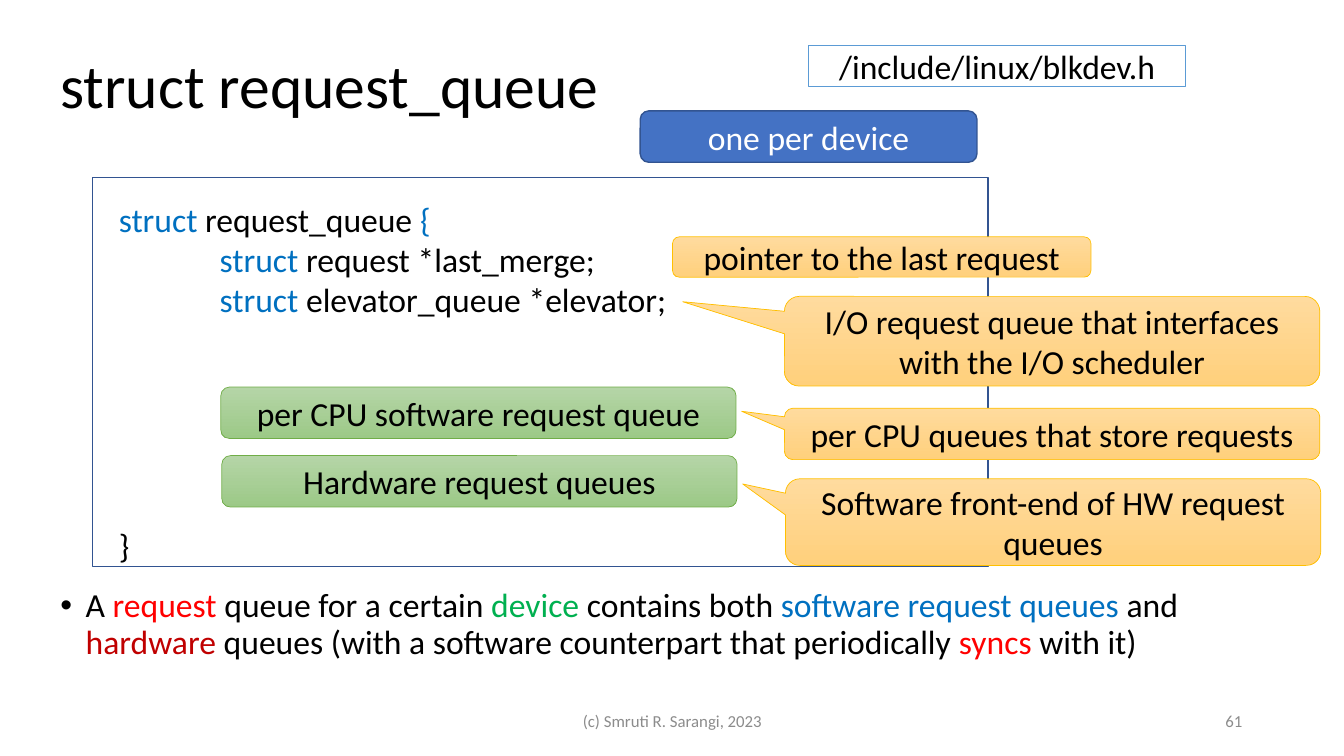
from dataclasses import dataclass

from lxml.etree import SubElement
from pptx import Presentation
from pptx.dml.color import RGBColor
from pptx.enum.shapes import MSO_SHAPE
from pptx.enum.text import MSO_ANCHOR, MSO_AUTO_SIZE, PP_ALIGN
from pptx.oxml.ns import qn
from pptx.util import Inches, Pt

FONT = "Calibri"
BLACK, WHITE, GREY = "000000", "FFFFFF", "8C8C8C"
KEYWORD, RED, GREEN, DARK_RED = "0070C0", "FF0000", "00B050", "C00000"
NAVY = "325491"

Box = tuple[float, float, float, float]
Spans = list[tuple[str, str]]


@dataclass(frozen=True)
class Style:
    fills: tuple[str, ...]
    line: str
    line_width: float
    text: str = BLACK


@dataclass(frozen=True)
class Label:
    text: str
    box: Box
    style: Style
    kind: MSO_SHAPE = MSO_SHAPE.ROUNDED_RECTANGLE
    pointer: tuple[float, float] | None = None


FRAME = Style((), NAVY, 1)
PATH = Style((WHITE,), "5B9BD5", 1)
BADGE = Style(("4472C4",), NAVY, 1, WHITE)
ORANGE = Style(("FFDB9E", "FFD07C"), "FFC000", 0.5)
QUEUE = Style(("B5D5A7", "9CC987"), "70AD47", 0.5)
CALLOUT = MSO_SHAPE.ROUNDED_RECTANGULAR_CALLOUT

LABELS = [
    Label("/include/linux/blkdev.h", (8.02, 0.45, 3.74, 0.41), PATH, MSO_SHAPE.RECTANGLE),
    Label("pointer to the last request", (6.67, 2.35, 4.15, 0.4), ORANGE),
    Label("I/O request queue that interfaces with the I/O scheduler",
          (7.78, 2.94, 5.31, 0.89), ORANGE, CALLOUT, (-0.69, -0.44)),
    Label("per CPU software request queue", (2.19, 3.84, 5.11, 0.51), QUEUE),
    Label("Hardware request queues", (2.2, 4.52, 5.11, 0.51), QUEUE),
    Label("per CPU queues that store requests",
          (7.78, 4.05, 5.31, 0.51), ORANGE, CALLOUT, (-0.58, -0.44)),
    Label("Software front-end of HW request queues",
          (7.79, 4.75, 5.31, 0.86), ORANGE, CALLOUT, (-0.58, -0.44)),
    Label("one per device", (6.35, 1.1, 3.34, 0.51), BADGE),
]

# Each code line: left indent in inches, space before in points, coloured spans
CODE: list[tuple[float, float, Spans]] = [
    (0, 0, [("struct ", KEYWORD), ("request_queue ", BLACK), ("{", KEYWORD)]),
    (1, 0, [("struct ", KEYWORD), ("request *last_merge;", BLACK)]),
    (1, 0, [("struct ", KEYWORD), ("elevator_queue *elevator;", BLACK)]),
    (0, 146.5, [("}", BLACK)]),
]

SUMMARY: Spans = [
    ("A ", BLACK), ("request", RED), (" queue for a certain ", BLACK),
    ("device", GREEN), (" contains both ", BLACK),
    ("software request queues", KEYWORD), (" and ", BLACK),
    ("hardware", DARK_RED),
    (" queues (with a software counterpart that periodically ", BLACK),
    ("syncs", RED), (" with it)", BLACK),
]


def rgb(value: str) -> RGBColor:
    return RGBColor.from_string(value)


def place(shape, box: Box) -> None:
    shape.left, shape.top, shape.width, shape.height = map(Inches, box)


def write_spans(para, spans: Spans, size: float = 24) -> None:
    for text, color in spans:
        span = para.add_run()
        span.text = text
        span.font.name = FONT
        span.font.size = Pt(size)
        span.font.color.rgb = rgb(color)


def indent(para, left: float, first: float = 0) -> None:
    """Set the left margin and first-line indent, in inches."""
    properties = para._p.get_or_add_pPr()
    properties.set("marL", str(Inches(left)))
    properties.set("indent", str(Inches(first)))


def add_panel(page, box: Box, style: Style, kind: MSO_SHAPE):
    panel = page.shapes.add_shape(kind, *map(Inches, box))
    panel.shadow.inherit = False
    panel.line.color.rgb = rgb(style.line)
    panel.line.width = Pt(style.line_width)
    if len(style.fills) == 2:
        panel.fill.gradient()
        panel.fill.gradient_angle = 270
        for stop, color in zip(panel.fill.gradient_stops, style.fills):
            stop.color.rgb = rgb(color)
    elif style.fills:
        panel.fill.solid()
        panel.fill.fore_color.rgb = rgb(style.fills[0])
    else:
        panel.fill.background()
    return panel


def add_label(page, label: Label) -> None:
    panel = add_panel(page, label.box, label.style, label.kind)
    if label.pointer:
        panel.adjustments[0], panel.adjustments[1] = label.pointer
    frame = panel.text_frame
    frame.word_wrap = True
    frame.vertical_anchor = MSO_ANCHOR.MIDDLE
    para = frame.paragraphs[0]
    para.alignment = PP_ALIGN.CENTER
    write_spans(para, [(label.text, label.style.text)])


def add_code(page) -> None:
    box = page.shapes.add_textbox(*map(Inches, (1.08, 1.92, 8.04, 4.04)))
    frame = box.text_frame
    frame.word_wrap = True
    for index, (left, space, spans) in enumerate(CODE):
        para = frame.add_paragraph() if index else frame.paragraphs[0]
        indent(para, left)
        para.space_before = Pt(space)
        write_spans(para, spans)


def add_footer(page, text: str, box: Box, alignment: PP_ALIGN) -> None:
    footer = page.shapes.add_textbox(*map(Inches, box))
    footer.text_frame.word_wrap = True
    footer.text_frame.vertical_anchor = MSO_ANCHOR.MIDDLE
    para = footer.text_frame.paragraphs[0]
    para.alignment = alignment
    write_spans(para, [(text, GREY)], 12)


def fill_placeholder(shape, box: Box, spans: Spans, size: float, anchor: MSO_ANCHOR):
    place(shape, box)
    frame = shape.text_frame
    frame.word_wrap = True
    frame.auto_size = MSO_AUTO_SIZE.NONE
    frame.vertical_anchor = anchor
    para = frame.paragraphs[0]
    para.alignment = PP_ALIGN.LEFT
    para.line_spacing = 0.9
    para.space_before = Pt(0)
    write_spans(para, spans, size)
    return para


def main() -> None:
    deck = Presentation()
    deck.slide_width, deck.slide_height = Inches(13.33), Inches(7.5)
    page = deck.slides.add_slide(deck.slide_layouts[1])

    fill_placeholder(page.shapes.title, (0.5, 0.15, 11.5, 1.45),
                     [("struct request_queue", BLACK)], 44, MSO_ANCHOR.MIDDLE)
    summary = fill_placeholder(page.placeholders[1], (0.5, 5.79, 11.86, 1.02),
                               SUMMARY, 24, MSO_ANCHOR.TOP)
    indent(summary, 0.25, -0.25)
    properties = summary._p.get_or_add_pPr()
    SubElement(properties, qn("a:buFont")).set("typeface", "Arial")
    SubElement(properties, qn("a:buChar")).set("char", "•")

    add_panel(page, (0.92, 1.76, 8.88, 3.86), FRAME, MSO_SHAPE.RECTANGLE)
    add_code(page)
    for label in LABELS:
        add_label(page, label)
    add_footer(page, "(c) Smruti R. Sarangi, 2023", (4.42, 6.95, 4.5, 0.4), PP_ALIGN.CENTER)
    add_footer(page, "61", (9.42, 6.95, 3, 0.4), PP_ALIGN.RIGHT)
    deck.save("out.pptx")


if __name__ == "__main__":
    main()
